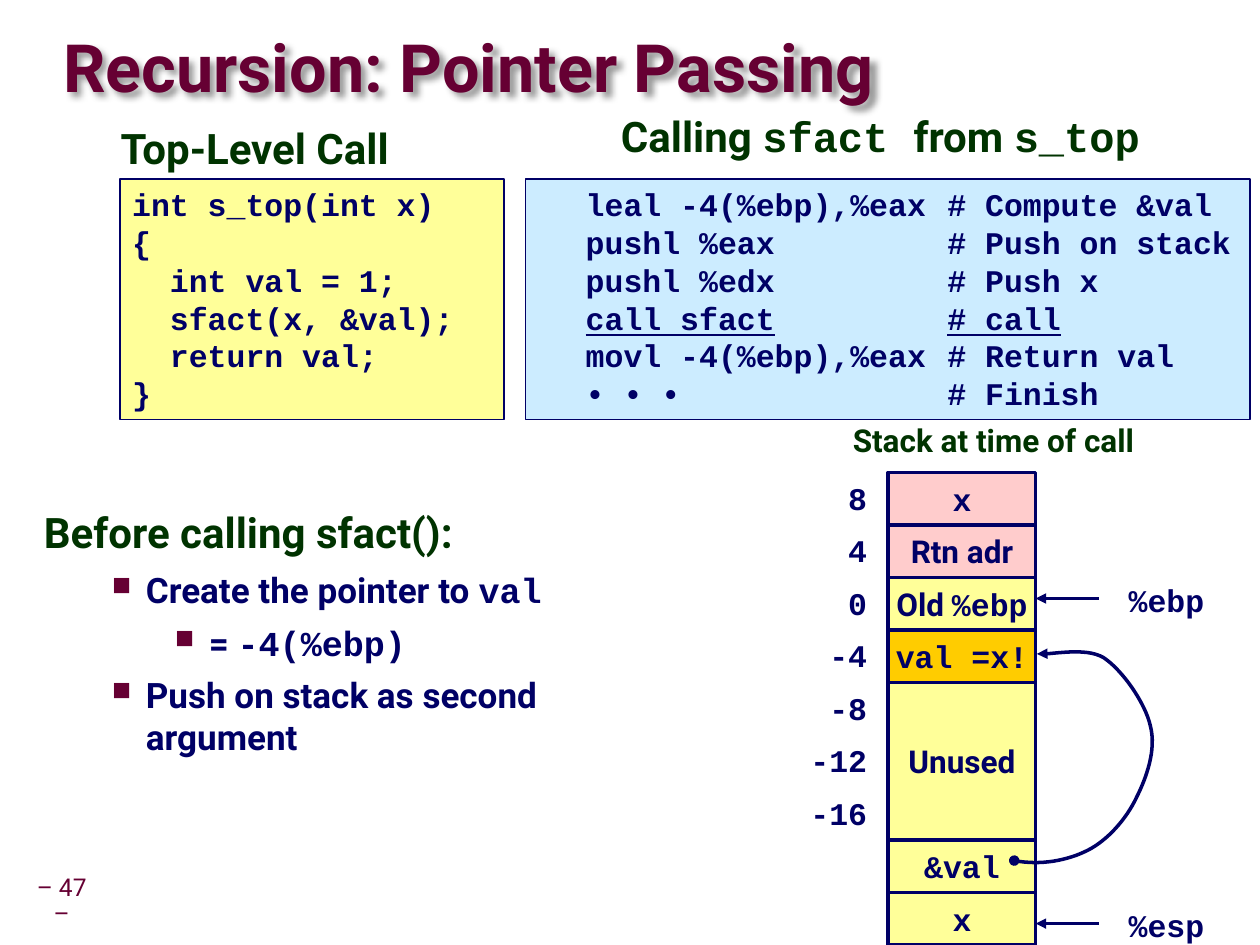
import pptx
import pptx.dml.color
import pptx.enum.shapes
import pptx.enum.text
import pptx.oxml
import pptx.oxml.ns
import pptx.util

Inches, Pt = pptx.util.Inches, pptx.util.Pt
RGBColor = pptx.dml.color.RGBColor
MSO_SHAPE = pptx.enum.shapes.MSO_SHAPE
ALIGN, ANCHOR = pptx.enum.text.PP_ALIGN, pptx.enum.text.MSO_ANCHOR
NS = pptx.oxml.ns.nsdecls("a")

MAROON = RGBColor(0x66, 0x00, 0x33)
GREEN = RGBColor(0x00, 0x33, 0x00)
NAVY = RGBColor(0x00, 0x00, 0x66)
PINK = RGBColor(0xFF, 0xCC, 0xCC)
YELLOW = RGBColor(0xFF, 0xFF, 0x99)
ORANGE = RGBColor(0xFF, 0xCC, 0x00)
SKY = RGBColor(0xCC, 0xEC, 0xFF)

SANS, MONO = "Roboto", "Courier New"
TITLE = {"name": SANS, "size": Pt(38), "bold": True}
HEADING = {"name": SANS, "size": Pt(24), "bold": True}
BULLET = {"name": SANS, "size": Pt(20), "bold": True}
LABEL = {"name": SANS, "size": Pt(18), "bold": True}
CODE = {"name": MONO, "size": Pt(18), "bold": True}
FOOTER = {"name": SANS, "size": Pt(14), "bold": False}

S_TOP_SOURCE = ["int s_top(int x)", "{", "  int val = 1;", "  sfact(x, &val);",
                "  return val;", "}"]
CALL_ASSEMBLY = ["\tleal -4(%ebp),%eax\t# Compute &val", "\tpushl %eax\t# Push on stack",
                 "\tpushl %edx\t# Push x", "\tcall sfact\t# call",
                 "\tmovl -4(%ebp),%eax\t# Return val", "\t•\u00a0•\u00a0•\t# Finish"]
STACK_CELLS = [([("x", MONO)], PINK, 1), ([("Rtn adr", SANS)], PINK, 1),
               ([("Old ", SANS), ("%ebp", MONO)], YELLOW, 1),
               ([("val =x!", MONO)], ORANGE, 1), ([("Unused", SANS)], YELLOW, 3),
               ([("&val", MONO)], YELLOW, 1), ([("x", MONO)], YELLOW, 1)]
STACK_OFFSETS = range(8, -17, -4)
STEPS = [(0.81, [("Create the pointer to ", SANS), ("val", MONO)]),
         (1.31, [("= ", SANS), ("-4(%ebp)", MONO)]),
         (0.81, [("Push on stack as second argument", SANS)])]
POINTER_CURVE = [(8.05, 6.83), (8.26, 6.87), (8.47, 6.83), (8.63, 6.75), (8.79, 6.67),
                 (8.94, 6.5), (9.02, 6.33), (9.1, 6.17), (9.18, 5.95), (9.13, 5.76),
                 (9.09, 5.58), (8.91, 5.32), (8.76, 5.22), (8.61, 5.13), (8.34, 5.2),
                 (8.23, 5.19)]


def inches(*lengths):
    """Convert a box or point from inches."""
    return [Inches(length) for length in lengths]


def set_values(target, values):
    """Set every attribute named in a dict of format values."""
    for name, value in values.items():
        setattr(target, name, value)


def write(paragraph, pieces, style, color):
    """Add (text, font name) pieces to a paragraph as styled runs."""
    for text, name in pieces:
        run = paragraph.add_run()
        run.text = text
        set_values(run.font, {**style, "name": name})
        run.font.color.rgb = color


def add_label(slide, box, pieces, style, color, align=ALIGN.LEFT, **frame_values):
    """Place a one-paragraph text box."""
    frame = slide.shapes.add_textbox(*inches(*box)).text_frame
    set_values(frame, {"word_wrap": False, **frame_values})
    frame.paragraphs[0].alignment = align
    write(frame.paragraphs[0], pieces, style, color)
    return frame


def add_panel(slide, box, fill, width):
    """Place a filled, navy-edged rectangle."""
    panel = slide.shapes.add_shape(MSO_SHAPE.RECTANGLE, *box)
    panel.shadow.inherit = False
    panel.fill.solid()
    panel.fill.fore_color.rgb = fill
    panel.line.color.rgb = NAVY
    panel.line.width = Pt(width)
    return panel


def finish_arrow(arrow, head="none"):
    """Give a connector or curve its navy line and end marks."""
    arrow.line.color.rgb = NAVY
    arrow.line.width = Pt(2)
    properties = arrow._element.spPr
    for tag, kind in (("headEnd", head), ("tailEnd", "triangle")):
        properties.get_or_add_ln().append(
            pptx.oxml.parse_xml(f'<a:{tag} {NS} type="{kind}"/>'))
    if properties.find(pptx.oxml.ns.qn("a:effectLst")) is None:
        properties.append(pptx.oxml.parse_xml(f"<a:effectLst {NS}/>"))


def place_title(slide, box):
    """Move and format the title with its soft shadow."""
    title = slide.shapes.title
    set_values(title, dict(zip(("left", "top", "width", "height"), inches(*box))))
    frame = title.text_frame
    set_values(frame, {"margin_left": 0, "margin_right": 0, "margin_top": 0,
                       "margin_bottom": 0, "vertical_anchor": ANCHOR.MIDDLE,
                       "auto_size": pptx.enum.text.MSO_AUTO_SIZE.NONE})
    set_values(frame.paragraphs[0], {"alignment": ALIGN.LEFT, "line_spacing": 0.87})
    write(frame.paragraphs[0], [("Recursion: Pointer Passing", SANS)], TITLE, MAROON)
    title._element.spPr.append(pptx.oxml.parse_xml(
        f'<a:effectLst {NS}><a:outerShdw blurRad="50800" dist="50800" dir="2700000">'
        '<a:srgbClr val="000000"><a:alpha val="40000"/></a:srgbClr>'
        '</a:outerShdw></a:effectLst>'))


def place_code(slide, box, lines, fill, tabs=(), underlined=None):
    """Place a code listing with optional tab stops and one underlined line."""
    frame = add_panel(slide, inches(*box), fill, 1).text_frame
    set_values(frame, {"word_wrap": True, "vertical_anchor": ANCHOR.TOP})
    stops = "".join(f'<a:tab pos="{Inches(tab)}" algn="l"/>' for tab in tabs)
    for number, line in enumerate(lines):
        paragraph = frame.paragraphs[0] if number == 0 else frame.add_paragraph()
        paragraph.alignment = ALIGN.LEFT
        if tabs:
            paragraph._p.get_or_add_pPr().append(
                pptx.oxml.parse_xml(f"<a:tabLst {NS}>{stops}</a:tabLst>"))
        style = {**CODE, "underline": number == underlined}
        write(paragraph, [(line, MONO)], style, NAVY)


def place_steps(slide, box):
    """Place the heading and bulleted steps before the call."""
    frame = add_label(slide, box, [("Before calling sfact():", SANS)], HEADING, GREEN,
                      word_wrap=True)
    frame.paragraphs[0].line_spacing = 0.95
    for indent, pieces in STEPS:
        paragraph = frame.add_paragraph()
        paragraph.space_before = Pt(6)
        properties = paragraph._p.get_or_add_pPr()
        properties.set("marL", str(Inches(indent)))
        properties.set("indent", str(Inches(-0.27)))
        for bullet in (f'<a:buClr {NS}><a:srgbClr val="{MAROON}"/></a:buClr>',
                       f'<a:buSzPct {NS} val="75000"/>', f'<a:buChar {NS} char="■"/>'):
            properties.append(pptx.oxml.parse_xml(bullet))
        write(paragraph, pieces, BULLET, NAVY)


def place_stack(slide, box):
    """Place the stack cells, their offsets and the register pointers."""
    left, top, width, height = box
    row_height = height / sum(rows for _, _, rows in STACK_CELLS)
    row = 0
    for pieces, fill, rows in STACK_CELLS:
        cell_box = inches(left, top + row * row_height, width, rows * row_height)
        frame = add_panel(slide, cell_box, fill, 2).text_frame
        set_values(frame, {"word_wrap": False, "vertical_anchor": ANCHOR.MIDDLE})
        frame.paragraphs[0].alignment = ALIGN.CENTER
        write(frame.paragraphs[0], pieces, LABEL, NAVY)
        row += rows
    for number, offset in enumerate(STACK_OFFSETS):
        add_label(slide, (left - 0.72, top + number * row_height, 0.65, 0.4),
                  [(str(offset), MONO)], CODE, NAVY, ALIGN.RIGHT)
    right = left + width
    for register, y in (("%ebp", 4.75), ("%esp", 7.33)):
        finish_arrow(slide.shapes.add_connector(
            pptx.enum.shapes.MSO_CONNECTOR.STRAIGHT, *inches(right + 0.5, y, right, y)))
        add_label(slide, (right + 0.64, y - 0.19, 0.8, 0.4), [(register, MONO)], CODE, NAVY)


def place_pointer(slide, knots, steps=16):
    """Draw the curved pointer through chained cubic Bézier segments."""
    points = []
    for first in range(0, len(knots) - 1, 3):
        for step in range(1, steps + 1):
            t = step / steps
            weights = ((1 - t) ** 3, 3 * t * (1 - t) ** 2, 3 * t ** 2 * (1 - t), t ** 3)
            points.append(inches(*(sum(w * knot[axis] for w, knot in
                                       zip(weights, knots[first:first + 4]))
                                   for axis in (0, 1))))
    builder = slide.shapes.build_freeform(*inches(*knots[0]))
    builder.add_line_segments(points, close=False)
    pointer = builder.convert_to_shape()
    pointer.shadow.inherit = False
    pointer.fill.background()
    finish_arrow(pointer, "oval")


def main():
    """Build and save the slide."""
    deck = pptx.Presentation()
    deck.slide_width, deck.slide_height = inches(10, 7.5)
    slide = deck.slides.add_slide(deck.slide_layouts[5])
    place_title(slide, (0.5, 0.25, 7.75, 0.63))
    add_label(slide, (0.86, 0.92, 2.48, 0.5), [("Top-Level Call", SANS)], HEADING, GREEN)
    add_label(slide, (4.83, 0.83, 4.48, 0.51),
              [("Calling ", SANS), ("sfact ", MONO), ("from ", SANS), ("s_top", MONO)],
              HEADING, GREEN)
    place_code(slide, (0.95, 1.42, 3.05, 1.91), S_TOP_SOURCE, YELLOW)
    place_code(slide, (4.17, 1.42, 5.75, 1.91), CALL_ASSEMBLY, SKY, (0.38, 3.25), 3)
    add_label(slide, (6.67, 3.29, 2.53, 0.4), [("Stack at time of call", SANS)], LABEL, GREEN)
    place_stack(slide, (7.05, 3.75, 1.17, 3.75))
    place_pointer(slide, POINTER_CURVE)
    place_steps(slide, (0.25, 4, 4.67, 3.17))
    page = add_label(slide, (0.24, 7, 0.5, 0.31), [("– 47 –", SANS)], FOOTER, MAROON,
                     ALIGN.CENTER, word_wrap=True, margin_left=Inches(0.02),
                     margin_right=Inches(0.02), vertical_anchor=ANCHOR.MIDDLE)
    page.paragraphs[0].line_spacing = 0.9
    deck.save("out.pptx")


if __name__ == "__main__":
    main()
